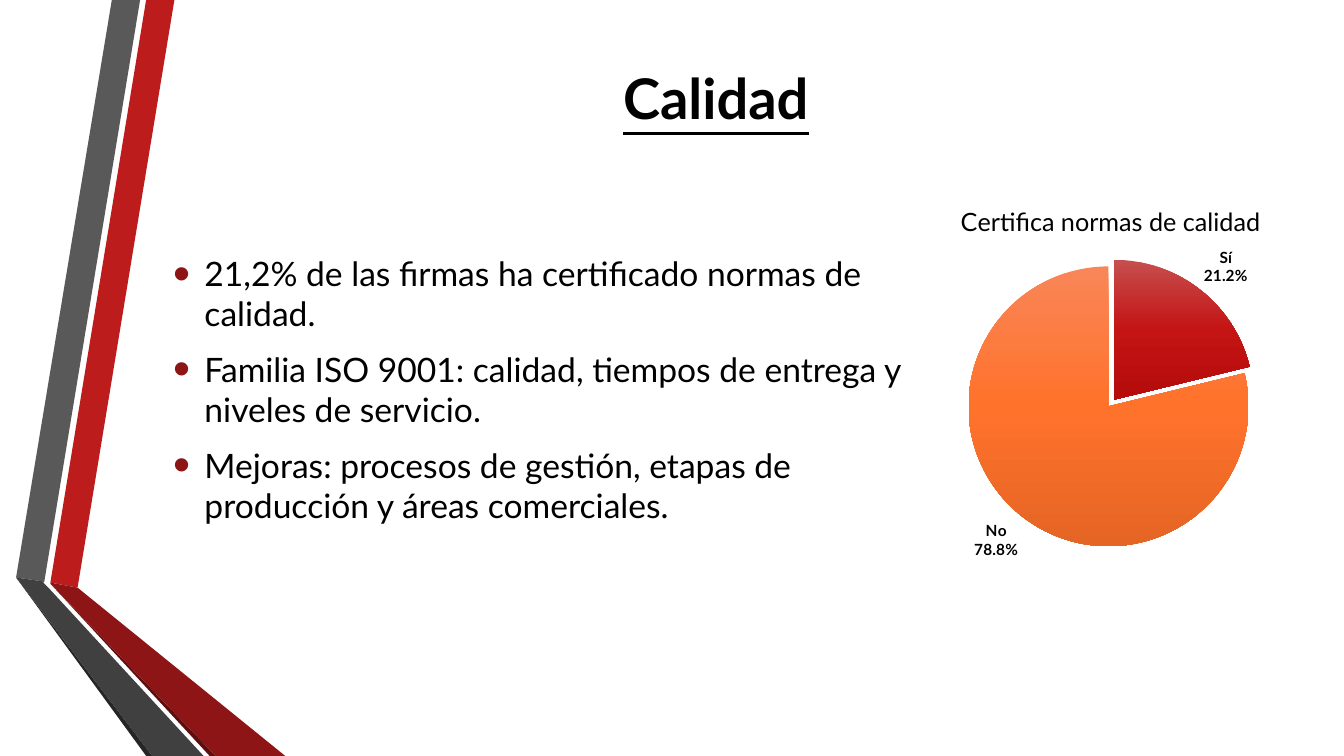
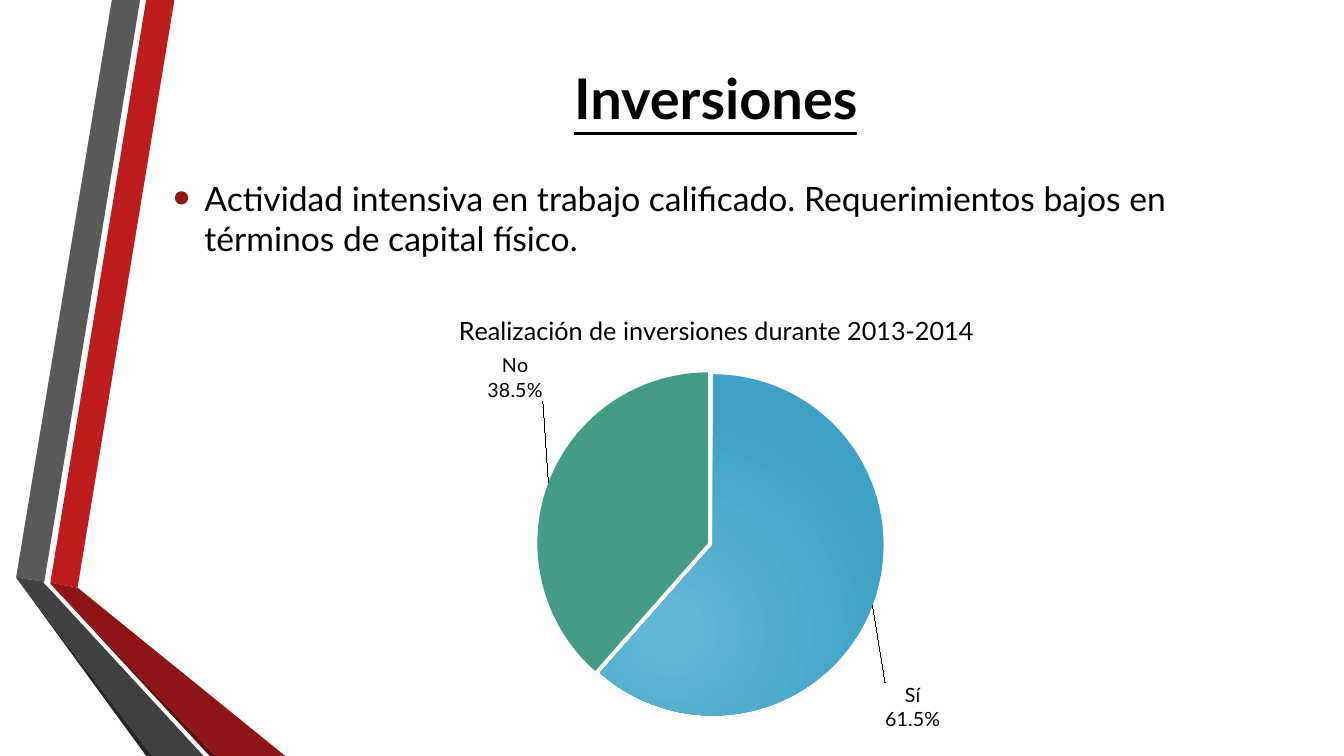
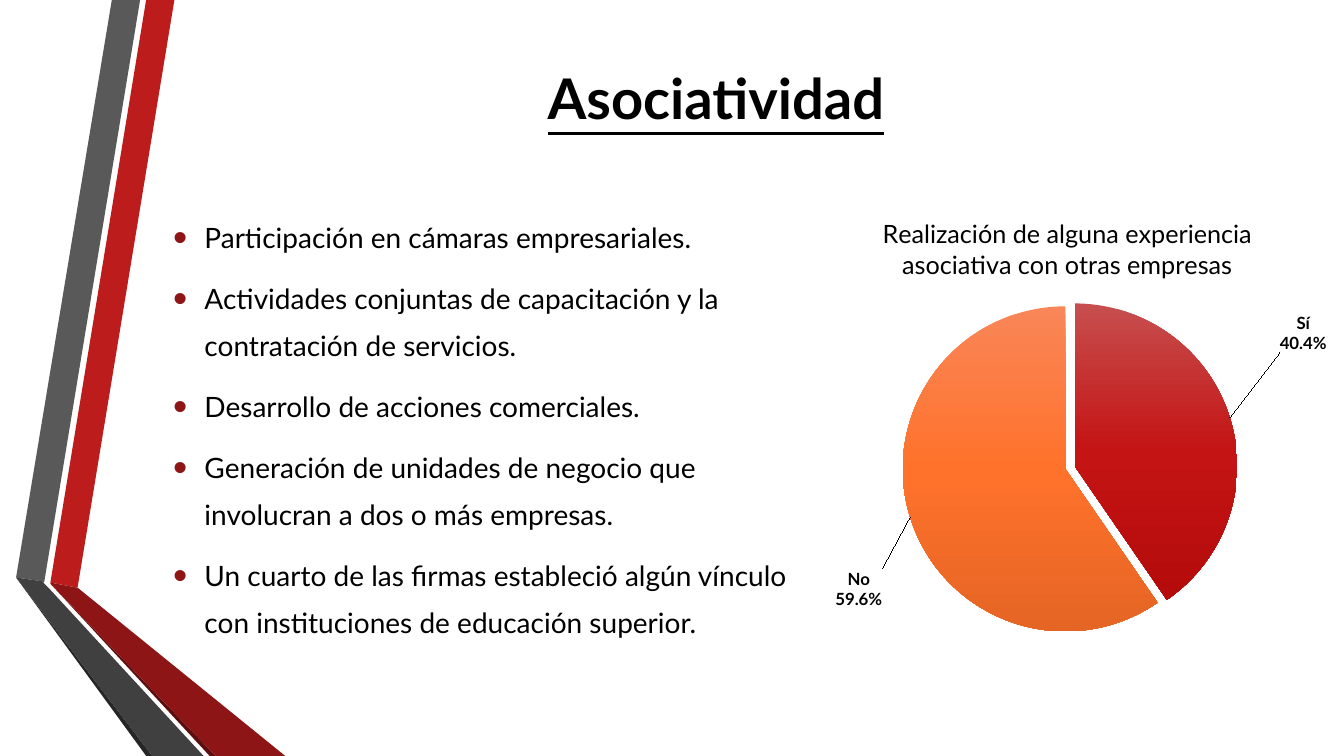
import copy

import pptx
import pptx.chart.data
import pptx.dml.color
import pptx.enum.chart
import pptx.enum.text
import pptx.oxml
import pptx.oxml.ns
import pptx.util
from lxml import etree
from pptx.dml.color import RGBColor
from pptx.util import Inches, Pt

# ---- Shared look ----
FONT = "Lato"
BLACK = RGBColor(0x00, 0x00, 0x00)
RED = RGBColor(0xBC, 0x1C, 0x1C)
DARK_RED = RGBColor(0x8D, 0x15, 0x15)
DEEP_RED = RGBColor(0x5E, 0x0E, 0x0E)
GRAY = RGBColor(0x59, 0x59, 0x59)
DARK_GRAY = RGBColor(0x40, 0x40, 0x40)
DEEP_GRAY = RGBColor(0x26, 0x26, 0x26)
GREEN = RGBColor(0x43, 0x9B, 0x88)
SKY = RGBColor(0x65, 0xB7, 0xD7)
BLUE = RGBColor(0x3F, 0xA1, 0xC5)
RED_RAMP = [(0, RGBColor(0xC7, 0x4E, 0x4E)), (50, RGBColor(0xC4, 0x14, 0x14)),
            (100, RGBColor(0xB5, 0x0B, 0x0B))]
ORANGE_RAMP = [(0, RGBColor(0xF9, 0x86, 0x58)), (50, RGBColor(0xFF, 0x72, 0x2B)),
               (100, RGBColor(0xE5, 0x65, 0x24))]
BLUE_RAMP = [(0, SKY), (100, BLUE)]

LINEAR = '<a:lin ang="5400000" scaled="0"/>'
RADIAL = ('<a:path path="circle"><a:fillToRect l="50000" t="100000" '
          'r="100000" b="50000"/></a:path>')

TITLE_AREA = (1.62, 0, 10.96, 1.92)
INDENT = 0.31

# Folded ribbons, back to front
RIBBONS = [
    (RED, [(0.5, 5.78), (0.77, 5.83), (1.73, 0), (1.45, 0)]),
    (GRAY, [(1.39, 0), (1.11, 0), (0.16, 5.73), (0.44, 5.77)]),
    (DEEP_GRAY, [(0.16, 5.73), (1.45, 7.5), (1.51, 7.5)]),
    (DEEP_RED, [(0.5, 5.79), (2.08, 7.5), (2.14, 7.5)]),
    (DARK_RED, [(0.5, 5.79), (2.14, 7.5), (2.83, 7.5), (0.77, 5.83), (0.5, 5.78)]),
    (DARK_GRAY, [(2.02, 7.5), (0.48, 5.83), (0.43, 5.78), (0.44, 5.77),
                 (0.16, 5.73), (1.51, 7.5)]),
]

# ---- Content ----
OUTSIDE = pptx.enum.chart.XL_LABEL_POSITION.OUTSIDE_END
BEST_FIT = pptx.enum.chart.XL_LABEL_POSITION.BEST_FIT
ANSWERS = ("Sí", "No")

# fills: (ramp, direction) or a plain colour; shifts: label offsets per answer
SLIDES = [
    {
        "title": "Calidad",
        "bullets": [
            "21,2% de las firmas ha certificado normas de calidad.",
            "Familia ISO 9001: calidad, tiempos de entrega y niveles de servicio.",
            "Mejoras: procesos de gestión, etapas de producción y áreas comerciales.",
        ],
        "area": (1.62, 1.45, 7.46, 4.82), "size": 24, "spacing": 1.0,
        "chart": {
            "title": "Certifica normas de calidad",
            "area": (7.93, 1.84, 6.17, 4.05), "plot": (0.28, 0.14, 0.45, 0.77),
            "values": (0.212, 0.788), "explosions": (0, 6),
            "fills": [(RED_RAMP, LINEAR), (ORANGE_RAMP, LINEAR)],
            "label": {"size": Pt(11), "bold": True}, "position": OUTSIDE,
            "shifts": [],
        },
    },
    {
        "title": "Inversiones",
        "bullets": [
            "Actividad intensiva en trabajo calificado. Requerimientos bajos en "
            "términos de capital físico.",
        ],
        "area": (1.62, 1.42, 10.96, 1.49), "size": 24, "spacing": 1.0,
        "chart": {
            "title": "Realización de inversiones durante 2013-2014",
            "area": (3.65, 2.91, 6.91, 4.38), "plot": (0.25, 0.18, 0.49, 0.78),
            "values": (0.615, 0.385), "explosions": (0, 3),
            "fills": [(BLUE_RAMP, RADIAL), GREEN],
            "label": {"size": Pt(14), "bold": False}, "position": BEST_FIT,
            "shifts": [(0.01, 0.17), (0, -0.18)],
        },
    },
    {
        "title": "Asociatividad",
        "bullets": [
            "Participación en cámaras empresariales.",
            "Actividades conjuntas de capacitación y la contratación de servicios.",
            "Desarrollo de acciones comerciales.",
            "Generación de unidades de negocio que involucran a dos o más empresas.",
            "Un cuarto de las firmas estableció algún vínculo con instituciones de "
            "educación superior.",
        ],
        "area": (1.62, 1.92, 6.34, 4.55), "size": 20, "spacing": 1.4,
        "chart": {
            "title": "Realización de alguna experiencia asociativa con otras empresas",
            "area": (7.84, 1.95, 5.49, 4.48), "plot": (0.21, 0.24, 0.59, 0.72),
            "values": (0.404, 0.596), "explosions": (3, 3),
            "fills": [(RED_RAMP, LINEAR), (ORANGE_RAMP, LINEAR)],
            "label": {"size": Pt(12), "bold": True}, "position": BEST_FIT,
            "shifts": [(0.08, -0.14), (-0.04, 0.11)],
        },
    },
]


# ---- Helpers ----
def apply(target, formats):
    for name, value in formats.items():
        setattr(target, name, value)


def style_font(font, **formats):
    apply(font, {"name": FONT, **formats})
    font.color.rgb = BLACK


def xml(markup):
    """Build an element from markup whose root takes the a: and c: namespaces."""
    head, mark, tail = markup.partition(">")
    slash = "/" if head.endswith("/") else ""
    spaces = pptx.oxml.ns.nsdecls("a", "c")
    return pptx.oxml.parse_xml(f"{head.rstrip('/')} {spaces}{slash}{mark}{tail}")


def find(element, tag):
    return element.find(pptx.oxml.ns.qn(tag))


def add_ribbons(page, master):
    """Draw the ribbons once and place them on the master."""
    for color, corners in RIBBONS:
        points = [(Inches(x), Inches(y)) for x, y in corners]
        builder = page.shapes.build_freeform(*points[0])
        builder.add_line_segments(points[1:], close=True)
        ribbon = builder.convert_to_shape()
        ribbon.shadow.inherit = False
        ribbon.fill.solid()
        ribbon.fill.fore_color.rgb = color
        ribbon.line.fill.background()
        master.shapes.element.append(ribbon.element)


def add_text(page, area, lines, para_format, **font_format):
    box = page.shapes.add_textbox(*map(Inches, area))
    frame = box.text_frame
    apply(frame, {"word_wrap": True,
                  "vertical_anchor": pptx.enum.text.MSO_ANCHOR.MIDDLE})
    for index, line in enumerate(lines):
        para = frame.paragraphs[0] if index == 0 else frame.add_paragraph()
        apply(para, para_format)
        span = para.add_run()
        span.text = line
        style_font(span.font, **font_format)
    return frame


def add_bullets(page, area, lines, size, spacing):
    para_format = {"line_spacing": spacing, "space_before": Pt(0.2 * size),
                   "space_after": Pt(6)}
    frame = add_text(page, area, lines, para_format, size=Pt(size))
    for para in frame.paragraphs:
        properties = find(para._p, "a:pPr")
        properties.set("marL", str(Inches(INDENT)))
        properties.set("indent", str(-Inches(INDENT)))
        for markup in (f'<a:buClr><a:srgbClr val="{DARK_RED}"/></a:buClr>',
                       '<a:buSzPct val="145000"/>',
                       '<a:buFont typeface="Arial"/>',
                       '<a:buChar char="•"/>'):
            properties.append(xml(markup))


def layout(**places):
    parts = "".join(f'<c:{name} val="{value}"/>' for name, value in places.items())
    return xml(f"<c:layout><c:manualLayout>{parts}</c:manualLayout></c:layout>")


def fill_slices(chart, fills, explosions):
    points = chart.plots[0].series[0].points
    for index, fill in enumerate(fills):
        slice_fill = points[index].format.fill
        slice_fill.solid()
        slice_fill.fore_color.rgb = fill if isinstance(fill, RGBColor) else BLACK
    slices = chart.element.iter(pptx.oxml.ns.qn("c:dPt"))
    for part, fill, explosion in zip(list(slices), fills, explosions):
        properties = find(part, "c:spPr")
        if explosion:
            properties.addprevious(xml(f'<c:explosion val="{explosion}"/>'))
        if not isinstance(fill, RGBColor):
            ramp, direction = fill
            stops = "".join(f'<a:gs pos="{place * 1000}"><a:srgbClr val="{color}"/></a:gs>'
                            for place, color in ramp)
            properties.replace(
                find(properties, "a:solidFill"),
                xml(f'<a:gradFill rotWithShape="1"><a:gsLst>{stops}</a:gsLst>'
                    f'{direction}</a:gradFill>'))


def add_labels(chart, position, font_format, shifts):
    labels = chart.plots[0].series[0].data_labels
    apply(labels, {"show_value": True, "show_category_name": True,
                   "number_format": "0.0%", "number_format_is_linked": False,
                   "position": position})
    style_font(labels.font, **font_format)
    group = next(chart.element.iter(pptx.oxml.ns.qn("c:dLbls")))
    find(group, "c:showBubbleSize").addnext(xml("<c:separator>\n</c:separator>"))
    shared = [part for part in group if etree.QName(part).localname != "showLeaderLines"]
    for index, (across, down) in enumerate(shifts):
        label = xml("<c:dLbl/>")
        label.append(xml(f'<c:idx val="{index}"/>'))
        label.append(layout(x=across, y=down))
        label.extend(copy.deepcopy(part) for part in shared)
        group.insert(index, label)


def add_pie(page, pie):
    data = pptx.chart.data.CategoryChartData(number_format="0.0%")
    data.categories = ANSWERS
    data.add_series("Series 1", pie["values"])
    chart = page.shapes.add_chart(pptx.enum.chart.XL_CHART_TYPE.PIE,
                                  *map(Inches, pie["area"]), data).chart
    style_font(chart.font, size=Pt(10))
    apply(chart, {"has_legend": False, "has_title": True})
    chart.plots[0].vary_by_categories = True

    heading = chart.chart_title
    heading.include_in_layout = False
    span = heading.text_frame.paragraphs[0].add_run()
    span.text = pie["title"]
    style_font(span.font, size=Pt(18), bold=False)

    plot_area = next(chart.element.iter(pptx.oxml.ns.qn("c:plotArea")))
    automatic = find(plot_area, "c:layout")
    if automatic is not None:
        plot_area.remove(automatic)
    left, top, width, height = pie["plot"]
    plot_area.insert(0, layout(layoutTarget="inner", xMode="edge", yMode="edge",
                               x=left, y=top, w=width, h=height))
    fill_slices(chart, pie["fills"], pie["explosions"])
    add_labels(chart, pie["position"], pie["label"], pie["shifts"])


# ---- Build ----
deck = pptx.Presentation()
apply(deck, {"slide_width": Inches(13.33), "slide_height": Inches(7.5)})
blank = deck.slide_layouts[6]

for number, content in enumerate(SLIDES):
    page = deck.slides.add_slide(blank)
    if number == 0:
        add_ribbons(page, deck.slide_master)
    add_bullets(page, content["area"], content["bullets"],
                content["size"], content["spacing"])
    add_text(page, TITLE_AREA, [content["title"]],
             {"alignment": pptx.enum.text.PP_ALIGN.CENTER},
             size=Pt(40), bold=True, underline=True)
    add_pie(page, content["chart"])

deck.save("out.pptx")
